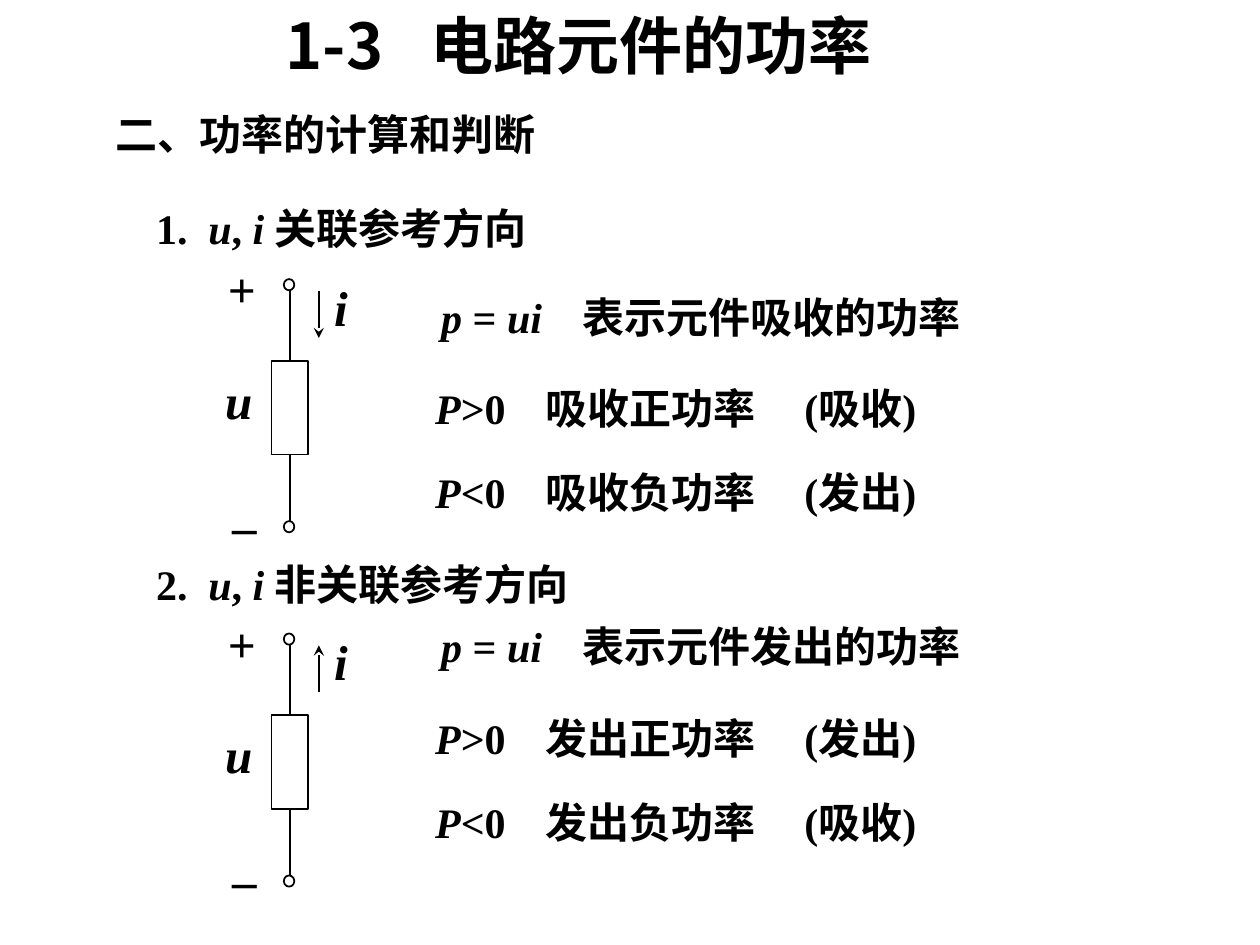
from lxml import etree
from pptx import Presentation
from pptx.dml.color import RGBColor
from pptx.enum import shapes, text
from pptx.oxml import ns
from pptx.util import Pt

COLORS = {"ink": "000000", "paper": "FFFFFF"}
LATIN, HAN = "Times New Roman", "Noto Sans CJK SC"


class Board:
    def __init__(self, slide):
        self.shapes = slide.shapes
        self.ink = RGBColor.from_string(COLORS["ink"])
        self.paper = RGBColor.from_string(COLORS["paper"])

    def label(self, box, parts, size=24, font=LATIN, align="CENTER",
              anchor="MIDDLE", tabs=(), turn=0):
        sp = self.shapes.add_textbox(*map(Pt, box))
        sp.rotation = turn
        tf = sp.text_frame
        tf.word_wrap = True
        tf.vertical_anchor = getattr(text.MSO_ANCHOR, anchor)
        p = tf.paragraphs[0]
        p.alignment = getattr(text.PP_ALIGN, align)
        if tabs:
            stops = etree.SubElement(p._p.get_or_add_pPr(), ns.qn("a:tabLst"))
            for stop in tabs:
                etree.SubElement(stops, ns.qn("a:tab"), pos=str(Pt(stop)), algn="l")
        for words, italic in parts:
            r = p.add_run()
            r.text = words
            r.font.size = Pt(size)
            r.font.name = font
            r.font.bold = True
            r.font.italic = italic
            r.font.color.rgb = self.ink
            etree.SubElement(r._r.get_or_add_rPr(), ns.qn("a:ea"), typeface=HAN)

    def outline(self, kind, box, filled=False):
        sp = self.shapes.add_shape(kind, *map(Pt, box))
        sp.shadow.inherit = False
        if filled:
            sp.fill.solid()
            sp.fill.fore_color.rgb = self.paper
        else:
            sp.fill.background()
        sp.line.color.rgb = self.ink
        sp.line.width = Pt(1)

    def wire(self, x, start, end, width=1, arrow=False):
        c = self.shapes.add_connector(
            shapes.MSO_CONNECTOR.STRAIGHT, Pt(x), Pt(start), Pt(x), Pt(end))
        c.line.color.rgb = self.ink
        c.line.width = Pt(width)
        if arrow:
            etree.SubElement(c.line._get_or_add_ln(), ns.qn("a:tailEnd"), type="stealth")
        etree.SubElement(c._element.spPr, ns.qn("a:effectLst"))

    def circuit(self, dy, current_down):
        self.outline(shapes.MSO_SHAPE.RECTANGLE, (155.2, 206.2 + dy, 20.9, 53.6))
        self.wire(165.6, 166 + dy, 206.2 + dy)
        self.wire(165.6, 259.8 + dy, 298 + dy)
        for top in (159.5, 297.8):
            self.outline(shapes.MSO_SHAPE.OVAL, (162.2, top + dy, 6, 6.4), True)
        ends = (166.3 + dy, 193.2 + dy)
        self.wire(182.2, *(ends if current_down else ends[::-1]), 1.5, True)
        self.label((122.4, 146.2 + dy, 35.3, 41), [("+", False)], 28, turn=90)
        self.label((118.1, 279.4 + dy, 43.2, 41), [("–", False)], 28)
        self.label((175.7, 154.8 + dy, 38.2, 41), [("i", True)], 28)
        self.label((111.6, 208.1 + dy, 49.7, 41), [("u", True)], 28)

    def heading(self, top, number, words):
        parts = [(number + "\t", False), ("u", True), (", ", False),
                 ("i ", True), (words, False)]
        self.label((82.2, top, 280, 36), parts, align="LEFT", tabs=(29.8,))

    def formulas(self, top, verb, other):
        parts = [("p ", True), ("= ", False), ("ui", True),
                 (f"\t表示元件{verb}的功率", False)]
        self.label((245, top, 340, 36), parts, align="LEFT", tabs=(81,))
        rows = ((">0", "正", verb, 52.3), ("<0", "负", other, 100.5))
        for sign, kind, result, dy in rows:
            parts = [("P", True), (f"{sign}\t{verb}{kind}功率\t({result})", False)]
            self.label((241.6, top + dy, 324, 36), parts, align="LEFT", tabs=(63.2, 211))


def main():
    prs = Presentation()
    prs.slide_width, prs.slide_height = Pt(720), Pt(540)
    board = Board(prs.slides.add_slide(prs.slide_layouts[6]))
    board.label((156.2, 0, 379.4, 93.6), [("1-3\t电路元件的功率", False)],
                36, HAN, "LEFT", "TOP", (82.5,))
    board.label((56.9, 58.3, 257.8, 36), [("二、功率的计算和判断", False)])
    sections = (
        ("1.", "关联参考方向", 112.3, 0, True, 162.7, "吸收", "发出"),
        ("2.", "非关联参考方向", 315.4, 202.5, False, 351, "发出", "吸收"),
    )
    for number, words, top, dy, down, formula_top, verb, other in sections:
        board.heading(top, number, words)
        board.circuit(dy, down)
        board.formulas(formula_top, verb, other)
    prs.save("out.pptx")


if __name__ == "__main__":
    main()
